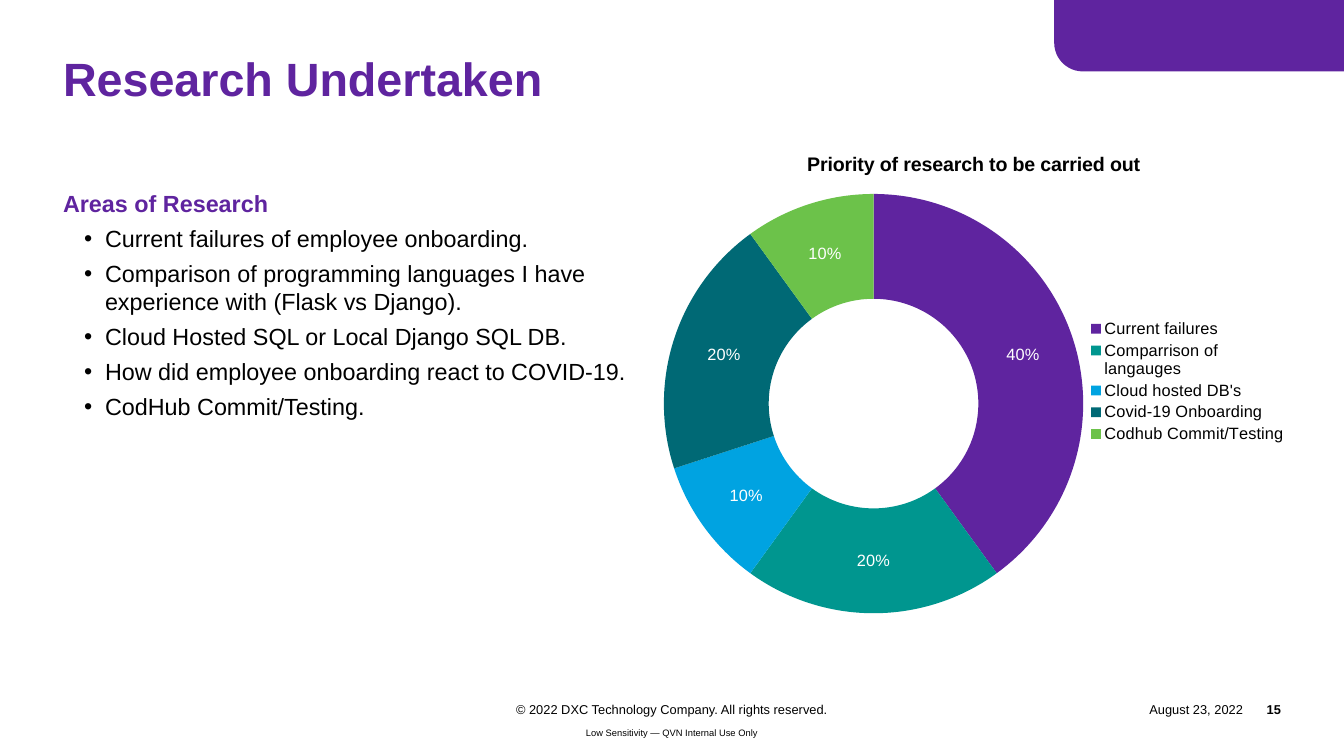
import pptx
import pptx.chart.data
import pptx.dml.color
import pptx.enum.chart
import pptx.enum.shapes
import pptx.enum.text
import pptx.oxml.ns
import pptx.oxml.xmlchemy
import pptx.util

COLORS = {
    "purple": "5F249F",
    "teal": "00968F",
    "blue": "00A3E1",
    "petrol": "006975",
    "green": "6CC24A",
    "black": "000000",
    "white": "FFFFFF",
}
CELL = pptx.util.Inches(0.25)
COLUMNS, ROWS = 64, 36
ALIGN = pptx.enum.text.PP_ALIGN
ANCHOR = pptx.enum.text.MSO_ANCHOR

AREAS = [
    "Current failures of employee onboarding.",
    "Comparison of programming languages I have experience with (Flask vs Django).",
    "Cloud Hosted SQL or Local Django SQL DB.",
    "How did employee onboarding react to COVID-19.",
    "CodHub Commit/Testing.",
]
PRIORITIES = [
    ("Current failures", 0.4, "purple"),
    ("Comparrison of langauges", 0.2, "teal"),
    ("Cloud hosted DB's", 0.1, "blue"),
    ("Covid-19 Onboarding", 0.2, "petrol"),
    ("Codhub Commit/Testing", 0.1, "green"),
]
FOOTERS = [
    ((21, 33.16, 22, 1.2), "© 2022 DXC Technology Company. All rights reserved.", ALIGN.CENTER, 11, False),
    ((24, 34.4, 16, 0.96), "Low Sensitivity — QVN Internal Use Only", ALIGN.CENTER, 8, False),
    ((52.04, 33.16, 7.16, 1.2), "August 23, 2022", ALIGN.RIGHT, 11, False),
    ((59.2, 33.16, 1.8, 1.2), "15", ALIGN.RIGHT, 11, True),
]


def rgb(color):
    return pptx.dml.color.RGBColor.from_string(COLORS[color])


def set_attributes(target, values):
    for name, value in values.items():
        setattr(target, name, value)


def grid(box):
    return [round(length * CELL) for length in box]


def place(shape, box):
    set_attributes(shape, dict(zip(("left", "top", "width", "height"), grid(box))))


def format_font(font, size, color, bold=False):
    set_attributes(font, {"name": "Arial", "size": pptx.util.Pt(size), "bold": bold})
    font.color.rgb = rgb(color)


def format_frame(frame, anchor):
    set_attributes(frame, {
        "margin_left": 0, "margin_top": 0, "margin_right": 0, "margin_bottom": 0,
        "word_wrap": True, "vertical_anchor": anchor,
        "auto_size": pptx.enum.text.MSO_AUTO_SIZE.NONE,
    })


def set_bullet(paragraph, margin, indent, bullet):
    properties = paragraph._p.get_or_add_pPr()
    properties.set("marL", str(round(margin * CELL)))
    properties.set("indent", str(round(indent * CELL)))
    element = pptx.oxml.xmlchemy.OxmlElement("a:buChar" if bullet else "a:buNone")
    if bullet:
        element.set("char", bullet)
    properties.append(element)


def add_corner(slide, box):
    shape = slide.shapes.add_shape(
        pptx.enum.shapes.MSO_SHAPE.ROUND_1_RECTANGLE, *grid(box))
    shape.rotation = 180
    shape.adjustments[0] = 0.4
    shape.shadow.inherit = False
    shape.fill.solid()
    shape.fill.fore_color.rgb = rgb("purple")
    shape.line.fill.background()


def fill_title(slide, box):
    title = slide.shapes.title
    place(title, box)
    format_frame(title.text_frame, ANCHOR.TOP)
    paragraph = title.text_frame.paragraphs[0]
    paragraph.text = "Research Undertaken"
    set_attributes(paragraph, {"alignment": ALIGN.LEFT, "line_spacing": 0.85})
    format_font(paragraph.runs[0].font, 40, "purple", True)


def fill_areas(slide, box):
    body = slide.placeholders[1]
    place(body, box)
    frame = body.text_frame
    format_frame(frame, ANCHOR.TOP)
    heading = frame.paragraphs[0]
    heading.text = "Areas of Research"
    heading.space_before = pptx.util.Pt(0)
    set_bullet(heading, 0, 0, None)
    format_font(heading.runs[0].font, 20, "purple", True)
    for area in AREAS:
        paragraph = frame.add_paragraph()
        paragraph.text = area
        set_attributes(paragraph, {"level": 2, "space_before": pptx.util.Pt(6)})
        set_bullet(paragraph, 2, -1, "•")
        format_font(paragraph.runs[0].font, 20, "black")


def set_plot_layout(chart, shares):
    plot_area = chart._chartSpace.chart.plotArea
    for layout in plot_area.findall(pptx.oxml.ns.qn("c:layout")):
        plot_area.remove(layout)
    layout = pptx.oxml.xmlchemy.OxmlElement("c:layout")
    manual = pptx.oxml.xmlchemy.OxmlElement("c:manualLayout")
    layout.append(manual)
    values = {"layoutTarget": "inner", "xMode": "edge", "yMode": "edge", **shares}
    for name, value in values.items():
        element = pptx.oxml.xmlchemy.OxmlElement("c:" + name)
        element.set("val", str(value))
        manual.append(element)
    plot_area.insert(0, layout)


def add_priorities(slide, box):
    names, values, colors = zip(*PRIORITIES)
    data = pptx.chart.data.CategoryChartData(number_format="0%")
    data.categories = names
    data.add_series("Series 1", values)
    chart = slide.shapes.add_chart(
        pptx.enum.chart.XL_CHART_TYPE.DOUGHNUT, *grid(box), data).chart
    format_font(chart.font, 14, "black")
    chart.has_title = True
    paragraph = chart.chart_title.text_frame.paragraphs[0]
    paragraph.text = "Priority of research to be carried out"
    format_font(paragraph.runs[0].font, 16.8, "black", True)
    chart.has_legend = True
    set_attributes(chart.legend, {
        "position": pptx.enum.chart.XL_LEGEND_POSITION.RIGHT,
        "include_in_layout": False,
    })
    format_font(chart.legend.font, 14, "black")
    plot = chart.plots[0]
    plot.vary_by_categories = True
    plot.has_data_labels = True
    set_attributes(plot.data_labels, {
        "show_value": True, "show_percentage": False,
        "number_format": "0%", "number_format_is_linked": False,
    })
    format_font(plot.data_labels.font, 14, "white")
    for index, color in enumerate(colors):
        point_format = plot.series[0].points[index].format
        point_format.fill.solid()
        point_format.fill.fore_color.rgb = rgb(color)
        point_format.line.fill.background()
    set_plot_layout(chart, {"x": 0.02, "y": 0.12, "w": 0.65, "h": 0.85})


def add_footer(slide, box, text, alignment, size, bold):
    frame = slide.shapes.add_textbox(*grid(box)).text_frame
    format_frame(frame, ANCHOR.MIDDLE)
    paragraph = frame.paragraphs[0]
    paragraph.text = text
    paragraph.alignment = alignment
    format_font(paragraph.runs[0].font, size, "black", bold)


def build_research_slide(presentation):
    slide = presentation.slides.add_slide(presentation.slide_layouts[1])
    add_corner(slide, (50.2, 0, 13.8, 3.4))
    fill_title(slide, (3, 2.8, 46.64, 2.8))
    fill_areas(slide, (3, 9, 28, 22.4))
    add_priorities(slide, (31, 6.36, 30.72, 23.6))
    for footer in FOOTERS:
        add_footer(slide, *footer)


def main():
    presentation = pptx.Presentation()
    set_attributes(presentation, {
        "slide_width": COLUMNS * CELL, "slide_height": ROWS * CELL})
    build_research_slide(presentation)
    presentation.save("out.pptx")


if __name__ == "__main__":
    main()
